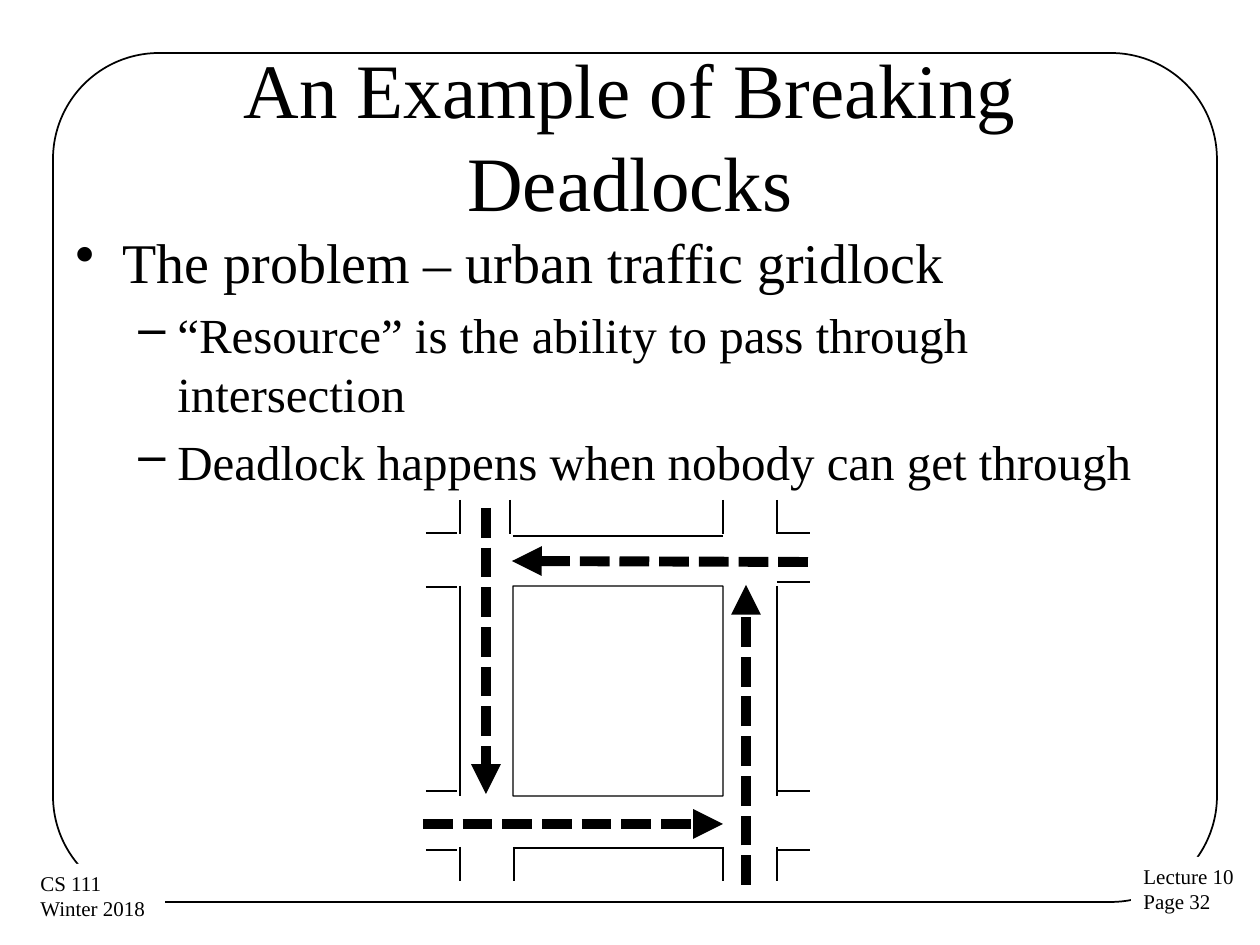
from dataclasses import dataclass

from lxml.etree import SubElement
from pptx import Presentation
from pptx.dml.color import RGBColor
from pptx.enum.dml import MSO_LINE
from pptx.enum.shapes import MSO_CONNECTOR, MSO_SHAPE
from pptx.enum.text import MSO_ANCHOR, PP_ALIGN
from pptx.oxml.ns import qn
from pptx.util import Pt


@dataclass(frozen=True)
class Theme:
    """Colours, font and sizes in points."""

    ink: RGBColor = RGBColor(0, 0, 0)
    paper: RGBColor = RGBColor(255, 255, 255)
    font: str = "Times New Roman"
    title: int = 44
    topic: int = 32
    detail: int = 28
    footer: int = 12
    frame: float = 1
    curb: float = 0.75
    traffic: float = 5.67


THEME = Theme()
PX_PER_INCH = 126


def px(length):
    """Turn px into EMU."""
    return round(length * 914400 / PX_PER_INCH)


def style(paragraph, size):
    """Give a paragraph the theme font at a size."""
    paragraph.font.name = THEME.font
    paragraph.font.size = Pt(size)
    paragraph.font.color.rgb = THEME.ink


def outline(slide, kind, box, radius):
    """Draw an unfilled shape with rounded corners and return it."""
    shape = slide.shapes.add_shape(kind, *map(px, box))
    shape.adjustments[0] = radius
    shape.shadow.inherit = False
    shape.fill.background()
    shape.line.color.rgb = THEME.ink
    return shape


def segment(slide, start, end, width):
    """Draw a plain straight line and return it."""
    line = slide.shapes.add_connector(
        MSO_CONNECTOR.STRAIGHT, *map(px, (*start, *end))
    )
    line.line.color.rgb = THEME.ink
    line.line.width = Pt(width)
    SubElement(line._element.spPr, qn("a:effectLst"))
    return line


def add_frame(slide, box):
    """Draw the rounded slide border."""
    border = outline(slide, MSO_SHAPE.ROUNDED_RECTANGLE, box, 0.125)
    border.line.width = Pt(THEME.frame)


def add_footer(slide, box, lines):
    """Place a corner label that covers the border."""
    label = slide.shapes.add_textbox(*map(px, box))
    label.fill.solid()
    label.fill.fore_color.rgb = THEME.paper
    frame = label.text_frame
    frame.word_wrap = False
    frame.text = "\n".join(lines)
    for paragraph in frame.paragraphs:
        style(paragraph, THEME.footer)


def add_title(slide, box, wording):
    """Place the centred title."""
    frame = slide.shapes.add_textbox(*map(px, box)).text_frame
    frame.word_wrap = True
    frame.vertical_anchor = MSO_ANCHOR.MIDDLE
    frame.text = wording
    heading = frame.paragraphs[0]
    heading.alignment = PP_ALIGN.CENTER
    style(heading, THEME.title)


def add_bullets(slide, box, points):
    """Place the bulleted points, given as (level, wording)."""
    levels = (("•", THEME.topic, 47, 47), ("–", THEME.detail, 102, 39))
    frame = slide.shapes.add_textbox(*map(px, box)).text_frame
    frame.word_wrap = True
    frame.text = "\n".join(wording for _, wording in points)
    for paragraph, (level, _) in zip(frame.paragraphs, points):
        mark, size, margin, hang = levels[level]
        paragraph.level = level
        paragraph.space_before = Pt(size * 0.2)
        style(paragraph, size)
        properties = paragraph._p.get_or_add_pPr()
        properties.set("marL", str(px(margin)))
        properties.set("indent", str(-px(hang)))
        bullet = properties.makeelement(qn("a:buChar"), {"char": mark})
        properties.find(qn("a:defRPr")).addprevious(bullet)


def add_streets(slide, box):
    """Draw the city block, its curbs and the four gridlocked streams."""
    left, top, width, height = box

    def at(x, y):
        return left + x, top + y

    block = outline(
        slide, MSO_SHAPE.ROUNDED_RECTANGLE, (*at(90, 86), 210, 210), 0.001
    )
    block.line.width = Pt(THEME.curb)

    curbs = [((90, y), (300, y)) for y in (36, 348)]
    curbs += [((x, 86), (x, 296)) for x in (37, 354)]
    curbs += [((x, 0), (x, 34)) for x in (37, 87, 300, 354)]
    curbs += [((x, 347), (x, 381)) for x in (37, 91, 300, 354)]
    curbs += [((3, y), (34, y)) for y in (33, 87, 291, 350)]
    curbs += [((354, y), (width, y)) for y in (33, 82, 291, 350)]
    for start, end in curbs:
        segment(slide, at(*start), at(*end), THEME.curb)

    streams = (
        ((385, 62), (89, 61)),
        ((63, 8), (63, 294)),
        ((0, 324), (300, 324)),
        ((323, height), (323, 85)),
    )
    for start, end in streams:
        stream = segment(slide, at(*start), at(*end), THEME.traffic)
        stream.line.dash_style = MSO_LINE.SQUARE_DOT
        SubElement(stream.line._get_or_add_ln(), qn("a:tailEnd"), type="triangle")


def main():
    """Build the slide and save it."""
    deck = Presentation()
    deck.slide_width, deck.slide_height = px(1260), px(945)
    slide = deck.slides.add_slide(deck.slide_layouts[6])
    add_frame(slide, (53, 53, 1164, 849))
    add_footer(slide, (1131, 857, 117, 64), ("Lecture 10", "Page 32"))
    add_footer(slide, (28, 864, 137, 64), ("CS 111", "Winter 2018"))
    add_title(slide, (63, 55, 1134, 158), "An Example of Breaking Deadlocks")
    add_bullets(
        slide,
        (63, 221, 1134, 624),
        (
            (0, "The problem – urban traffic gridlock"),
            (1, "“Resource” is the ability to pass through intersection"),
            (1, "Deadlock happens when nobody can get through"),
        ),
    )
    add_streets(slide, (423, 500, 387, 385))
    deck.save("out.pptx")


if __name__ == "__main__":
    main()
